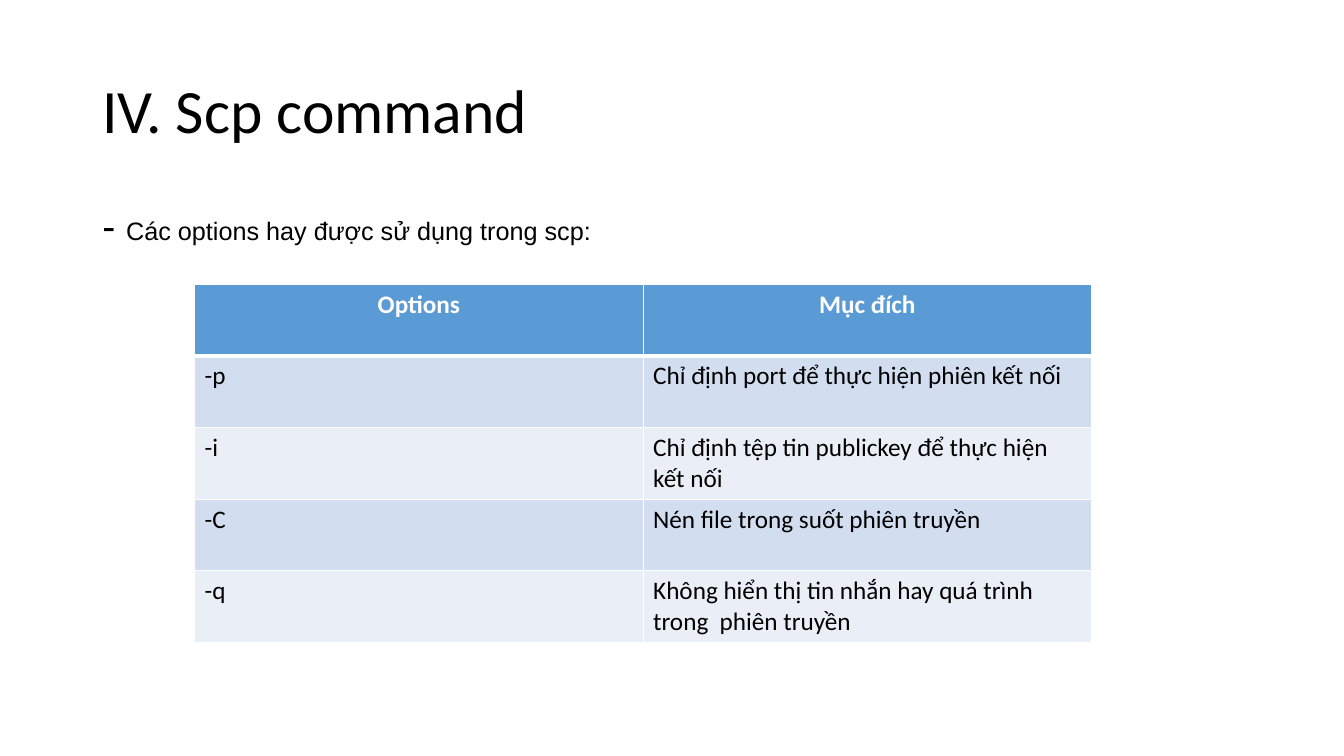
import dataclasses

import pptx
import pptx.dml.color
import pptx.enum.text
import pptx.oxml.ns
import pptx.util
from lxml import etree

Pt = pptx.util.Pt
ALIGN = pptx.enum.text.PP_ALIGN
ANCHOR = pptx.enum.text.MSO_ANCHOR


@dataclasses.dataclass(frozen=True)
class Theme:
    ink: str = "000000"
    paper: str = "FFFFFF"
    header: str = "5B9BD5"
    bands: tuple = ("D2DEEF", "EAEFF7")
    heading_font: str = "Calibri"
    body_font: str = "Arial"
    title_size: int = 44
    dash_size: int = 28
    text_size: int = 18
    rule: int = 1
    header_rule: int = 3


THEME = Theme()

OPTIONS = [
    ("Options", "Mục đích"),
    ("-p", "Chỉ định port để thực hiện phiên kết nối"),
    ("-i", "Chỉ định tệp tin publickey để thực hiện kết nối"),
    ("-C", "Nén file trong suốt phiên truyền"),
    ("-q", "Không hiển thị tin nhắn hay quá trình trong  phiên truyền"),
]


def colour(code):
    return pptx.dml.color.RGBColor.from_string(code)


def write(para, text, size=THEME.text_size, font=THEME.heading_font,
          ink=THEME.ink, bold=False, align=ALIGN.LEFT, spacing=None, before=None):
    para.alignment = align
    if spacing is not None:
        para.line_spacing = spacing
    if before is not None:
        para.space_before = Pt(before)
    span = para.add_run()
    span.text = text
    span.font.size = Pt(size)
    span.font.name = font
    span.font.bold = bold
    span.font.color.rgb = colour(ink)


def text_frame(page, box, anchor):
    frame = page.shapes.add_textbox(*map(Pt, box)).text_frame
    frame.word_wrap = True
    frame.vertical_anchor = anchor
    return frame


def add_title(page, box, text):
    frame = text_frame(page, box, ANCHOR.MIDDLE)
    write(frame.paragraphs[0], text, size=THEME.title_size, spacing=0.9)


def add_intro(page, box, text):
    para = text_frame(page, box, ANCHOR.TOP).paragraphs[0]
    for words, size in (("- ", THEME.dash_size), (text, THEME.text_size)):
        write(para, words, size=size, font=THEME.body_font, spacing=0.9, before=10)


def add_borders(cell, widths):
    properties = cell._tc.get_or_add_tcPr()
    for place, (side, width) in enumerate(widths.items()):
        line = etree.Element(pptx.oxml.ns.qn(f"a:ln{side}"), w=str(Pt(width)))
        fill = etree.SubElement(line, pptx.oxml.ns.qn("a:solidFill"))
        etree.SubElement(fill, pptx.oxml.ns.qn("a:srgbClr"), val=THEME.paper)
        properties.insert(place, line)


def add_options_table(page, box, rows):
    left, top, width, height = box
    columns = len(rows[0])
    table = page.shapes.add_table(len(rows), columns, *map(Pt, box)).table
    for column in table.columns:
        column.width = Pt(width / columns)
    for index, values in enumerate(rows):
        table.rows[index].height = Pt(height / len(rows))
        heading = index == 0
        band = THEME.header if heading else THEME.bands[(index - 1) % 2]
        widths = {
            "L": THEME.rule,
            "R": THEME.rule,
            "T": THEME.header_rule if index == 1 else THEME.rule,
            "B": THEME.header_rule if heading else THEME.rule,
        }
        for column, text in enumerate(values):
            cell = table.cell(index, column)
            cell.fill.solid()
            cell.fill.fore_color.rgb = colour(band)
            add_borders(cell, widths)
            write(cell.text_frame.paragraphs[0], text, bold=heading,
                  ink=THEME.paper if heading else THEME.ink,
                  align=ALIGN.CENTER if heading else ALIGN.LEFT)


def main():
    deck = pptx.Presentation()
    deck.slide_width, deck.slide_height = Pt(960), Pt(540)
    page = deck.slides.add_slide(deck.slide_layouts[6])
    page.background.fill.solid()
    page.background.fill.fore_color.rgb = colour(THEME.paper)
    add_title(page, (66, 28.8, 828, 104.4), "IV. Scp command")
    add_intro(page, (66, 144, 828, 342.7), "Các options hay được sử dụng trong scp:")
    add_options_table(page, (139, 203, 640.8, 256), OPTIONS)
    deck.save("out.pptx")


if __name__ == "__main__":
    main()
